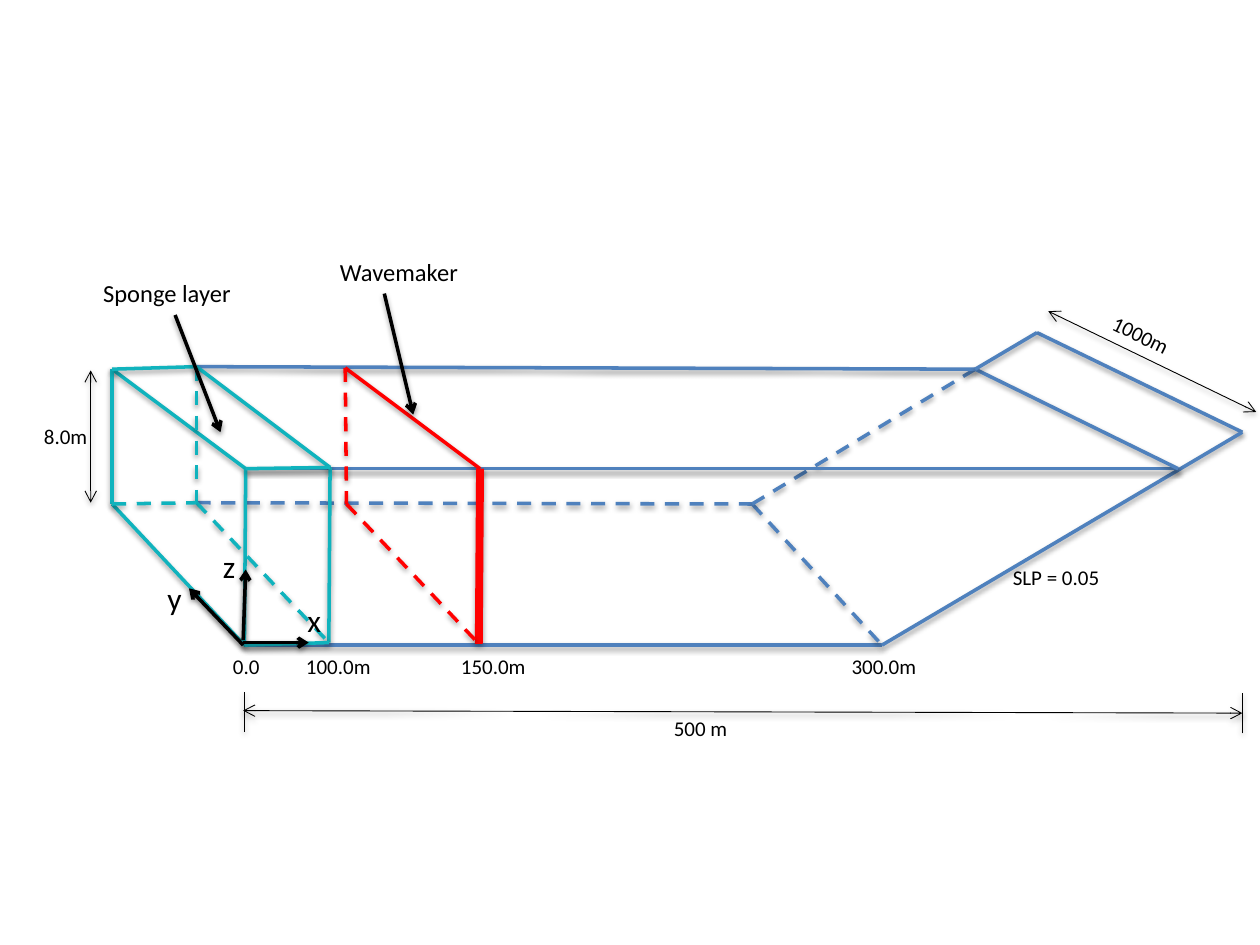
from lxml import etree
from pptx import Presentation
from pptx import util as u
from pptx.dml.color import RGBColor
from pptx.enum import dml, shapes, text
from pptx.oxml import ns

HUES = {"tank": "4F81BD", "sponge": "10B3BD", "wave": "FF0000", "ink": "000000"}

# Corners of the wave tank: b = back, f = front; top and floor
AT = {
    "left_bt": (0.89, 2.93), "left_bf": (0.89, 4),
    "left_ft": (1.95, 3.72), "left_ff": (1.94, 5.12),
    "pad_bt": (1.56, 2.91), "pad_bf": (1.56, 3.99),
    "pad_ft": (2.62, 3.71), "pad_ff": (2.61, 5.1),
    "wave_bt": (2.74, 2.92), "wave_bf": (2.75, 4),
    "wave_ft": (3.81, 3.72), "wave_ff": (3.8, 5.11),
    "toe_b": (5.97, 4), "toe_f": (7, 5.12),
    "shore_b": (7.74, 2.93), "shore_f": (9.35, 3.72),
    "crest_b": (8.23, 2.64), "crest_f": (9.86, 3.43),
}

# Edges: start, end, hue, dashed, weight
EDGES = [
    ("pad_bf", "toe_b", "tank", True, 2),
    ("left_ff", "toe_f", "tank", False, 2),
    ("left_bf", "left_ff", "sponge", False, 2),
    ("toe_b", "toe_f", "tank", True, 2),
    ("toe_b", "shore_b", "tank", True, 2),
    ("crest_b", "crest_f", "tank", False, 2),
    ("toe_f", "crest_f", "tank", False, 2),
    ("left_ft", "shore_f", "tank", False, 2),
    ("pad_bt", "shore_b", "tank", False, 2),
    ("left_bt", "left_ft", "sponge", False, 2),
    ("left_bt", "left_bf", "sponge", False, 2),
    ("left_ft", "left_ff", "sponge", False, 2),
    ("shore_b", "shore_f", "tank", False, 2),
    ("shore_b", "crest_b", "tank", False, 2),
    ("pad_bt", "pad_ft", "sponge", False, 2),
    ("pad_ft", "pad_ff", "sponge", False, 2),
    ("pad_bt", "pad_bf", "sponge", True, 2),
    ("pad_bf", "pad_ff", "sponge", True, 2),
    ("wave_bt", "wave_ft", "wave", False, 2),
    ("wave_ft", "wave_ff", "wave", False, 4.5),
    ("wave_bt", "wave_bf", "wave", True, 2),
    ("wave_bf", "wave_ff", "wave", True, 2),
    ("left_ff", "pad_ff", "sponge", False, 2),
    ("left_ft", "pad_ft", "sponge", False, 2),
    ("left_bf", "pad_bf", "sponge", True, 2),
    ("left_bt", "pad_bt", "sponge", False, 2),
]

# Axes and callout pointers
ARROWS = [
    ((1.93, 5.08), (1.95, 4.52)),
    ((1.93, 5.1), (2.45, 5.1)),
    ((1.93, 5.12), (1.5, 4.67)),
    ((3.05, 2.33), (3.28, 3.29)),
    ((1.39, 2.5), (1.75, 3.43)),
]

# Dimension lines: height, length, width
SPANS = [
    ((0.72, 2.94), (0.72, 3.99)),
    ((1.93, 5.64), (9.86, 5.66)),
    ((8.32, 2.47), (9.97, 3.27)),
]
TICKS = [((1.94, 5.81), (1.94, 5.49)), ((9.86, 5.82), (9.86, 5.5))]

# Labels: words, left, top, width, size, turn
LABELS = [
    ("x", 2.34, 4.72, 0.31, 18, 0),
    ("y", 1.23, 4.55, 0.32, 18, 0),
    ("z", 1.67, 4.29, 0.3, 18, 0),
    ("0.0", 1.75, 5.14, 0.42, 12, 0),
    ("100.0m", 2.33, 5.14, 0.72, 12, 0),
    ("150.0m", 3.56, 5.14, 0.72, 12, 0),
    ("300.0m", 6.66, 5.14, 0.72, 12, 0),
    ("SLP = 0.05", 7.94, 4.43, 0.9, 12, 0),
    ("Wavemaker", 2.6, 1.99, 1.17, 14, 0),
    ("Sponge layer", 0.72, 2.16, 1.23, 14, 0),
    ("8.0m", 0.25, 3.31, 0.55, 12, 0),
    ("500 m", 5.25, 5.63, 0.63, 12, 0),
    ("1000m", 8.72, 2.51, 0.68, 12, 26.1),
]
TALL = {12: 0.3, 14: 0.34, 18: 0.4}


def node(root, tag, **attrs):
    return etree.SubElement(root, ns.qn(tag), attrs)


def shade(props):
    """Soft shadow straight below the line."""
    cast = node(node(props, "a:effectLst"), "a:outerShdw",
                blurRad=str(u.Pt(3.1)), dist=str(u.Pt(1.6)),
                dir="5400000", rotWithShape="0")
    tint = node(cast, "a:srgbClr", val=HUES["ink"])
    node(tint, "a:alpha", val="38000")


def line(slide, start, end, hue="ink", dash=False, wide=2, ends=()):
    ends_at = [u.Inches(v) for v in (*start, *end)]
    link = slide.shapes.add_connector(shapes.MSO_CONNECTOR.STRAIGHT, *ends_at)
    link.line.color.rgb = RGBColor.from_string(HUES[hue])
    link.line.width = u.Pt(wide)
    if dash:
        link.line.dash_style = dml.MSO_LINE.DASH
    props = link._element.spPr
    for end_tag in ends:
        node(props.find(ns.qn("a:ln")), end_tag, type="arrow")
    shade(props)


def label(slide, words, left, top, width, size, turn):
    box = slide.shapes.add_textbox(u.Inches(left), u.Inches(top),
                                   u.Inches(width), u.Inches(TALL[size]))
    box.rotation = turn
    frame = box.text_frame
    frame.word_wrap = False
    frame.auto_size = text.MSO_AUTO_SIZE.SHAPE_TO_FIT_TEXT
    run = frame.paragraphs[0].add_run()
    run.text = words
    run.font.name = "Calibri"
    run.font.size = u.Pt(size)
    run.font.color.rgb = RGBColor.from_string(HUES["ink"])


def main():
    deck = Presentation()
    deck.slide_width, deck.slide_height = u.Inches(10), u.Inches(7.5)
    slide = deck.slides.add_slide(deck.slide_layouts[6])

    # Tank, sponge layer and wavemaker
    for start, end, hue, dash, wide in EDGES:
        line(slide, AT[start], AT[end], hue, dash, wide)

    # Arrows and dimensions
    for start, end in ARROWS:
        line(slide, start, end, ends=["a:tailEnd"])
    for start, end in SPANS:
        line(slide, start, end, wide=0.5, ends=["a:headEnd", "a:tailEnd"])
    for start, end in TICKS:
        line(slide, start, end, wide=0.5)

    # Labels
    for item in LABELS:
        label(slide, *item)

    deck.save("out.pptx")


main()
